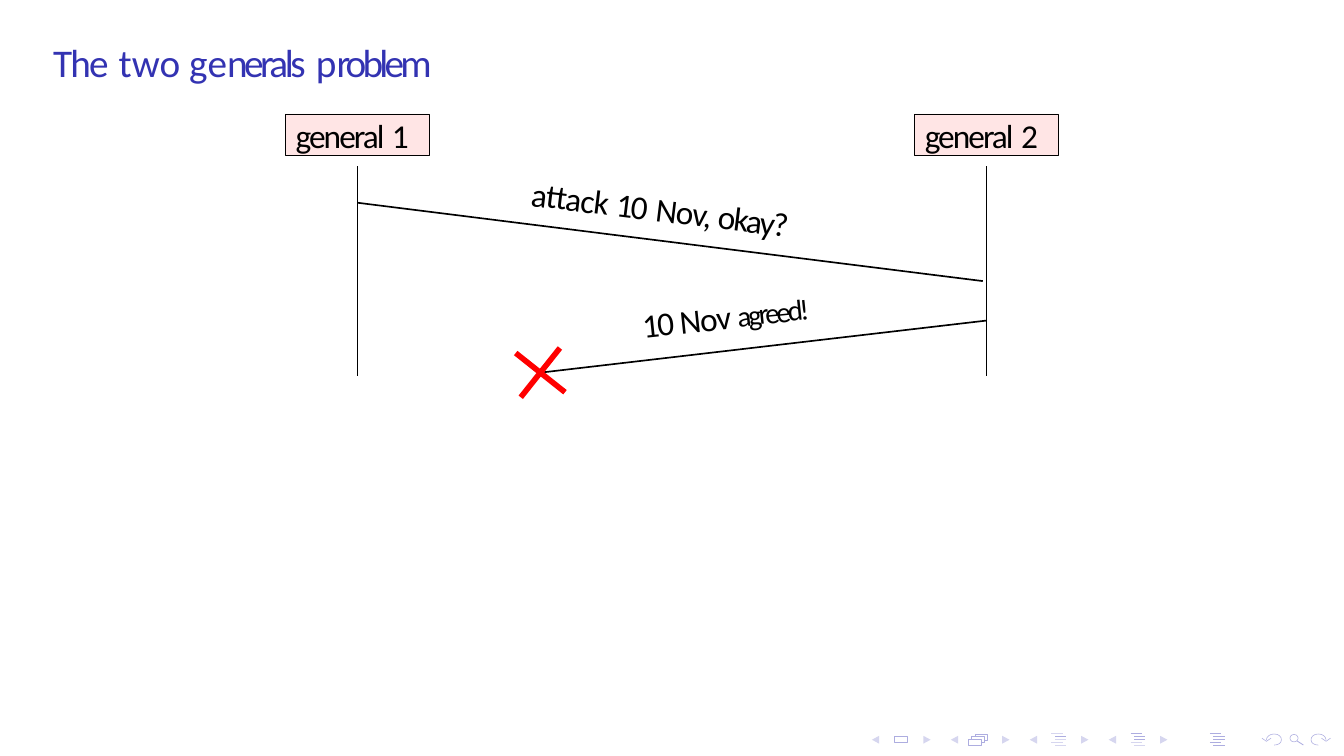
"""Build the slide on the two generals problem."""
from dataclasses import dataclass

from pptx import Presentation
from pptx.dml.color import RGBColor as Rgb
from pptx.enum.shapes import MSO_CONNECTOR as Link, MSO_SHAPE as Preset
from pptx.enum.text import MSO_ANCHOR as Anchor, MSO_AUTO_SIZE as Fit, PP_ALIGN as Align
from pptx.oxml.ns import qn
from pptx.util import Pt


@dataclass(frozen=True)
class Theme:
    font: str = "Calibri"
    title_size: float = 28
    text_size: float = 23.8
    raised_size: float = 35.7
    title: Rgb = Rgb(0x33, 0x33, 0xB2)
    ink: Rgb = Rgb(0, 0, 0)
    general: Rgb = Rgb(0xFF, 0xE5, 0xE5)
    lost: Rgb = Rgb(0xFF, 0, 0)
    mid: Rgb = Rgb(0xAD, 0xAD, 0xE0)
    pale: Rgb = Rgb(0xD6, 0xD6, 0xEF)


THEME = Theme()

TITLE = [("The", -1.3), (" ", 0.8), ("t", -2.8), ("w", -4.2), ("o", -2.1), (" ", 0),
         ("g", -2.5), ("e", -2.8), ("nerals", -2.5), (" ", 1.1), ("p", -3.3), ("roblem", -2.7)]
GENERALS = [("1", 203.6), ("2", 653)]
GENERAL_TOP, GENERAL_WIDTH, GENERAL_HEIGHT = 81.4, 103.2, 29.5
LIFE_TOP, LIFE_BOTTOM = 118.8, 268.6
LOST_AT = (386, 266.2)
ASK_Y, ASK_END, REPLY_Y = 144.8, (702, 200.8), 229
MESSAGES = [
    ([("attack", -0.6), (" ", 0), ("10", -1.5), (" ", 0.6), ("Nov, ", -0.8), ("okay?", -1.3)],
     (378.7, 141.8, 207.4, 23.8), 7, 22.8),
    ([("10 ", -1.4), ("Nov ", -0.8), ("agreed!", -2.2)],
     (458.9, 217.4, 149.8, 23.8), 354, 23.5),
]
CROSS_ARMS = [(14, -17.6), (17.6, 14)]

NAV_LEFT, NAV_STEP, NAV_TOP = 622.8, 56.4, 525.6
ARROW_GAP, ARROW_WIDTH, ARROW_HEIGHT = 36.7, 5.2, 5.6
STACK = [(691.9, 527.8), (694.1, 526), (696.3, 524.2)]
LIST_ROWS = [(524.2, 0), (526.2, 2.6), (528.4, 2.6), (530.4, 0), (532.2, 2.6)]
LISTS = [(751.1, "pmppp"), (807.6, "mmmpp"), (864.2, "mmmmm")]
UNDO_ARC = [(910.1, 532.2), (912.3, 531.9), (913.9, 531.1), (915, 529.9), (915.3, 528.4),
            (915, 526.8), (913.9, 525.5), (912.3, 524.6), (910.1, 524.3), (908, 524.6),
            (906.3, 525.5), (905.1, 526.8), (904.6, 528.4)]
UNDO_HEAD = [(907.9, 527.3), (904.6, 529.5), (901.4, 527.3)]
MIRROR_SUM = 1851.8


def place(box):
    return [Pt(value) for value in box]


def paint(shape, fill=None, line=None, width=0.4):
    shape.shadow.inherit = False
    if fill is None:
        shape.fill.background()
    else:
        shape.fill.solid()
        shape.fill.fore_color.rgb = fill
    if line is None:
        shape.line.fill.background()
    else:
        shape.line.color.rgb = line
        shape.line.width = Pt(width)


def draw_line(page, start, end, color, width):
    line = page.shapes.add_connector(Link.STRAIGHT, *place(start + end))
    line.line.color.rgb = color
    line.line.width = Pt(width)
    properties = line._element.spPr
    properties.append(properties.makeelement(qn("a:effectLst"), {}))


def draw_outline(page, strokes, **style):
    builder = page.shapes.build_freeform(*place(strokes[0][0]))
    for index, stroke in enumerate(strokes):
        first, *rest = [place(point) for point in stroke]
        if index:
            builder.move_to(*first)
        builder.add_line_segments(rest, close=stroke[0] == stroke[-1])
    paint(builder.convert_to_shape(), **style)


def write(shape, spans, size, color, left=0, top=0):
    frame = shape.text_frame
    frame.auto_size = Fit.NONE
    frame.word_wrap = True
    frame.vertical_anchor = Anchor.TOP
    frame.margin_left, frame.margin_top = Pt(left), Pt(top)
    frame.margin_right = frame.margin_bottom = 0
    para = frame.paragraphs[0]
    para.alignment = Align.LEFT
    para.font.name, para.font.size = THEME.font, Pt(size)
    para.font.color.rgb = color
    for text, spacing in spans:
        span = para.add_run()
        span.text = text
        span._r.get_or_add_rPr().set("spc", str(round(spacing * 100)))
    return para


def triangle(tail, tip):
    return [(tail, NAV_TOP), (tip, NAV_TOP + ARROW_HEIGHT / 2),
            (tail, NAV_TOP + ARROW_HEIGHT), (tail, NAV_TOP)]


def draw_navigation(page):
    for index in range(4):
        left = NAV_LEFT + index * NAV_STEP
        right = left + ARROW_GAP
        back, ahead = triangle(left + ARROW_WIDTH, left), triangle(right, right + ARROW_WIDTH)
        for strokes in [[back, ahead]] if index else [[back], [ahead]]:
            draw_outline(page, strokes, fill=THEME.pale)

    frame = page.shapes.add_shape(Preset.RECTANGLE, *place((639, 526, 9, 4.5)))
    paint(frame, line=THEME.mid)
    sheets = [[(left, top + 1.8), (left, top), (left + 9, top),
               (left + 9, top + 4.5), (left + 6.8, top + 4.5)] for left, top in STACK]
    left, top = STACK[0]
    sheets[0] = [(left, top + 4.5), (left + 9, top + 4.5), (left + 9, top),
                 (left, top), (left, top + 4.5)]
    draw_outline(page, sheets, line=THEME.mid)

    for left, tones in LISTS:
        for tone, color in (("m", THEME.mid), ("p", THEME.pale)):
            rows = [[(left + indent, top), (left + indent + 7.9, top)]
                    for (top, indent), mark in zip(LIST_ROWS, tones) if mark == tone]
            if rows:
                draw_outline(page, rows, line=color, width=0.6)

    lens = page.shapes.add_shape(Preset.OVAL, *place((921.4, 524.6, 5.8, 5.3)))
    paint(lens, line=THEME.mid)
    draw_line(page, (926.6, 529.3), (931, 532.2), THEME.mid, 0.6)
    undo = [UNDO_ARC, UNDO_HEAD]
    redo = [[(MIRROR_SUM - x, y) for x, y in stroke] for stroke in undo]
    draw_outline(page, undo + redo, line=THEME.mid)


def draw_exchange(page):
    lives = []
    for number, left in GENERALS:
        box = page.shapes.add_shape(
            Preset.RECTANGLE, *place((left, GENERAL_TOP, GENERAL_WIDTH, GENERAL_HEIGHT)))
        paint(box, fill=THEME.general, line=THEME.ink)
        spans = [("general", -1.4), (" ", 0), (number, -1.5)]
        write(box, spans, THEME.text_size, THEME.ink, 7.6, 1.1)
        life = left + GENERAL_WIDTH / 2
        draw_line(page, (life, LIFE_TOP), (life, LIFE_BOTTOM), THEME.ink, 0.4)
        lives.append(life)

    draw_line(page, (lives[0], ASK_Y), ASK_END, THEME.ink, 1.2)
    draw_line(page, (lives[1], REPLY_Y), LOST_AT, THEME.ink, 1.2)
    x, y = LOST_AT
    cross = [[(x - across, y - down), (x + across, y + down)] for across, down in CROSS_ARMS]
    draw_outline(page, cross, line=THEME.lost, width=4)

    for spans, area, turn, spacing in MESSAGES:
        label = page.shapes.add_textbox(*place(area))
        label.rotation = turn
        para = write(label, spans, THEME.text_size, THEME.ink)
        para.line_spacing = Pt(spacing)
    raised = para.runs[-1]
    raised.font.size = Pt(THEME.raised_size)
    raised._r.get_or_add_rPr().set("baseline", "2000")


def main():
    deck = Presentation()
    deck.slide_width, deck.slide_height = Pt(960), Pt(540)
    page = deck.slides.add_slide(deck.slide_layouts[5])
    title = page.shapes.title
    title.left, title.top, title.width, title.height = place((36, 25.2, 350, 36))
    write(title, TITLE, THEME.title_size, THEME.title, 2, 2)
    draw_navigation(page)
    draw_exchange(page)
    deck.save("out.pptx")


if __name__ == "__main__":
    main()
